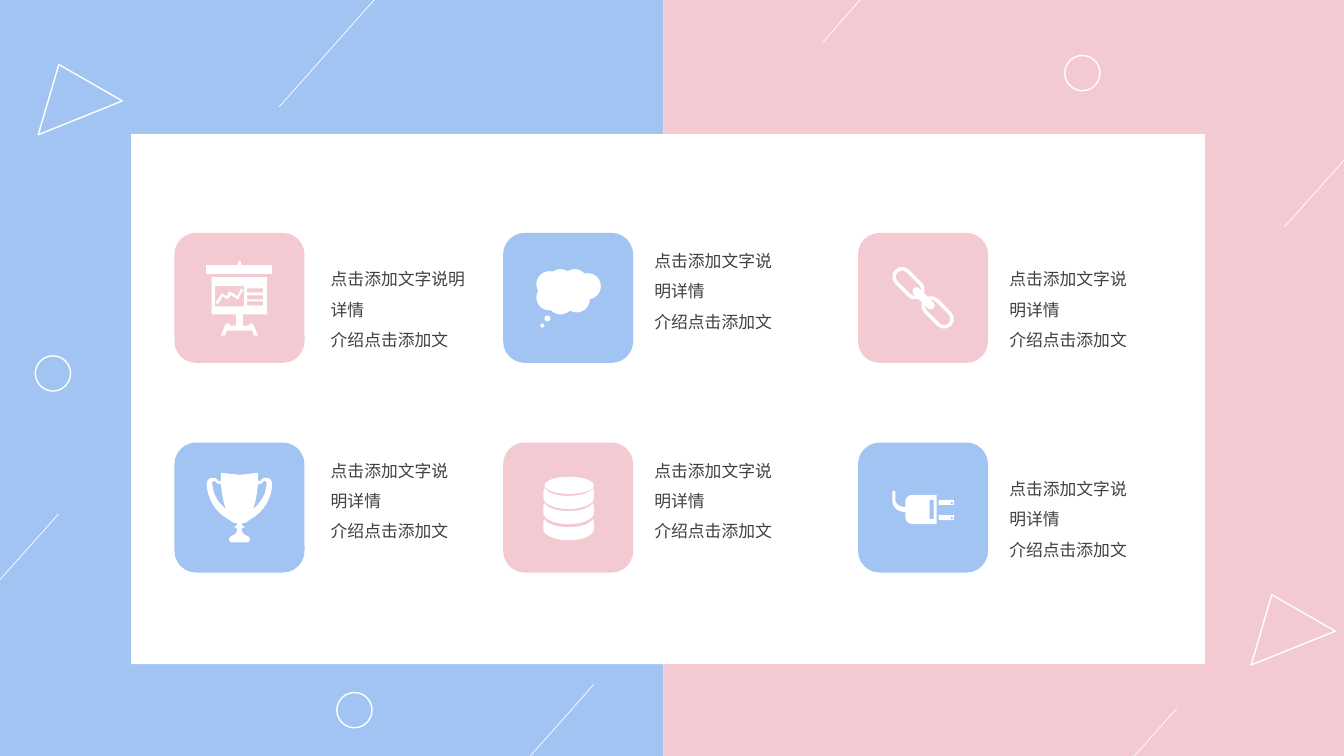
import pptx
import pptx.util
import pptx.dml.color
import pptx.enum.shapes
import pptx.enum.text
import pptx.oxml.ns
import lxml.etree
from dataclasses import dataclass
from typing import Any

Inches = pptx.util.Inches
RGB = pptx.dml.color.RGBColor
Kind = pptx.enum.shapes.MSO_SHAPE
Point = tuple[float, float]
Loop = list[Point]

BLUE = RGB(0xA1, 0xC4, 0xF2)
PINK = RGB(0xF3, 0xCA, 0xD1)
WHITE = RGB(0xFF, 0xFF, 0xFF)
GRAY = RGB(0x40, 0x40, 0x40)
FONT = "Noto Sans CJK SC"
WORDS = ("点击添加文字说明详情", "介绍点击添加文")
TILE = 1.29


@dataclass
class Piece:
    kind: Any
    left: float
    top: float
    width: float
    height: float
    fill: RGB | None = WHITE
    line: float = 0
    turn: float = 0
    round: float | None = None


@dataclass
class Outline:
    loops: list[Loop]


@dataclass
class Card:
    left: float
    top: float
    fill: RGB
    icon: list[Piece | Outline]
    text: Point
    width: float = 1.39


def paint(shape: Any, fill: RGB | None, line: float) -> None:
    shape.shadow.inherit = False
    if fill is None:
        shape.fill.background()
    else:
        shape.fill.solid()
        shape.fill.fore_color.rgb = fill
    if line:
        shape.line.color.rgb = WHITE
        shape.line.width = pptx.util.Pt(line)
    else:
        shape.line.fill.background()


def draw(shapes: Any, item: Piece | Outline) -> None:
    if isinstance(item, Piece):
        shape = shapes.add_shape(item.kind, Inches(item.left), Inches(item.top),
                                 Inches(item.width), Inches(item.height))
        shape.rotation = item.turn
        if item.round is not None:
            shape.adjustments[0] = item.round
        paint(shape, item.fill, item.line)
        return
    loops = [[(Inches(x), Inches(y)) for x, y in loop] for loop in item.loops]
    pen = shapes.build_freeform(*loops[0][0])
    for place, loop in enumerate(loops):
        if place:
            pen.move_to(*loop[0])
        pen.add_line_segments(loop[1:], close=True)
    paint(pen.convert_to_shape(), WHITE, 0)


def trace(start: Point, *parts: tuple[float, ...]) -> Loop:
    loop = [start]
    for part in parts:
        if len(part) == 2:
            loop.append((part[0], part[1]))
            continue
        x, y = loop[-1]
        a, b, c, d, e, f = part
        for step in range(1, 9):
            t = step / 8
            u = 1 - t
            loop.append((u**3 * x + 3 * u * u * t * a + 3 * u * t * t * c + t**3 * e,
                         u**3 * y + 3 * u * u * t * b + 3 * u * t * t * d + t**3 * f))
    return loop


def flip(loop: Loop, axis: float) -> Loop:
    return [(2 * axis - x, y) for x, y in reversed(loop)]


def frame(left: float, top: float, right: float, base: float) -> Loop:
    return [(left, top), (right, top), (right, base), (left, base)]


def disc(x: float, y: float, radius: float, fill: RGB = WHITE) -> Piece:
    return Piece(Kind.OVAL, x - radius, y - radius, 2 * radius, 2 * radius, fill)


def link(x: float, y: float) -> Piece:
    return Piece(Kind.ROUNDED_RECTANGLE, x - 0.17, y - 0.08, 0.34, 0.16, None, 2.5, 45, 0.5)


def band(top: float) -> Outline:
    return Outline([trace((5.4, top), (5.43, top + 0.05, 5.52, top + 0.08, 5.64, top + 0.08),
                          (5.76, top + 0.08, 5.85, top + 0.05, 5.88, top), (5.89, top + 0.03),
                          (5.89, top + 0.1),
                          (5.89, top + 0.16, 5.78, top + 0.21, 5.64, top + 0.21),
                          (5.5, top + 0.21, 5.39, top + 0.16, 5.39, top + 0.1),
                          (5.39, top + 0.03))])


def write(shapes: Any, card: Card) -> None:
    box = shapes.add_textbox(Inches(card.text[0]), Inches(card.text[1]),
                             Inches(card.width), Inches(0.98))
    frame = box.text_frame
    frame.word_wrap = True
    frame.auto_size = pptx.enum.text.MSO_AUTO_SIZE.SHAPE_TO_FIT_TEXT
    frame.margin_left = frame.margin_right = Inches(0.07)
    frame.margin_top = frame.margin_bottom = Inches(0.04)
    for place, words in enumerate(WORDS):
        para = frame.add_paragraph() if place else frame.paragraphs[0]
        para.line_spacing = 1.5
        run = para.add_run()
        run.text = words
        run.font.size = pptx.util.Pt(12)
        run.font.name = FONT
        run.font.color.rgb = GRAY
        east = lxml.etree.SubElement(run.font._element, pptx.oxml.ns.qn("a:ea"))
        east.set("typeface", FONT)


def rule(shapes: Any, start: Point, end: Point) -> None:
    line = shapes.add_connector(pptx.enum.shapes.MSO_CONNECTOR.STRAIGHT,
                                *(Inches(n) for n in start + end))
    line.line.color.rgb = WHITE
    line.line.width = pptx.util.Pt(0.5)
    lxml.etree.SubElement(line._element.spPr, pptx.oxml.ns.qn("a:effectLst"))


RINGS = [(0.35, 3.53), (3.34, 6.87), (10.56, 0.55)]
PEAKS = [(0.24, 0.62), (12.27, 5.88)]
DECOR = [
    Piece(Kind.RECTANGLE, 0, 0, 6.58, 7.5, BLUE),
    Piece(Kind.RECTANGLE, 6.58, 0, 6.75, 7.5, PINK),
    Piece(Kind.RECTANGLE, 1.3, 1.33, 10.65, 5.26),
    *(Piece(Kind.ISOSCELES_TRIANGLE, x, y, 0.9, 0.57, None, 1, 338.1) for x, y in PEAKS),
    *(Piece(Kind.OVAL, x, y, 0.35, 0.35, None, 1) for x, y in RINGS),
]
RULES = [
    ((2.77, 1.06), (3.71, 0)), ((8.16, 0.42), (8.53, 0)), ((5.26, 7.5), (5.89, 6.79)),
    ((11.25, 7.5), (11.67, 7.03)), ((12.74, 2.25), (13.33, 1.59)), ((0, 5.75), (0.58, 5.1)),
]

stand = [(2.65, 2.75), (2.65, 3.12), (2.41, 3.12), (2.41, 3.23), (2.47, 3.23), (2.47, 3.21),
         (2.51, 3.21), (2.56, 3.33), (2.52, 3.33), (2.5, 3.28)]
BOARD = [
    Outline([frame(2.04, 2.63, 2.7, 2.72)]),
    Piece(Kind.ROUNDED_RECTANGLE, 2.36, 2.59, 0.03, 0.08, round=0.5),
    Outline([stand + flip(stand, 2.375), frame(2.13, 2.84, 2.42, 3.04),
             *(frame(2.45, y, 2.61, y + 0.04) for y in (2.86, 2.93, 2.99))]),
    Outline([[(2.37, 2.91), (2.35, 2.94), (2.33, 2.92), (2.27, 2.89), (2.25, 2.94),
              (2.2, 2.91), (2.14, 3), (2.16, 3.02), (2.21, 2.94), (2.26, 2.97),
              (2.29, 2.93), (2.36, 2.97), (2.41, 2.88), (2.39, 2.86)]]),
]
PUFFS = [(5.45, 2.82), (5.45, 2.95), (5.56, 2.8), (5.7, 2.8), (5.83, 2.84),
         (5.56, 2.99), (5.72, 2.97), (5.64, 2.9)]
CLOUD = [*(disc(x, y, 0.13) for x, y in PUFFS), disc(5.43, 3.16, 0.03), disc(5.38, 3.23, 0.02)]
CHAIN = [link(9.01, 2.81), link(9.3, 3.1),
         Piece(Kind.ROUNDED_RECTANGLE, 9.02, 2.92, 0.28, 0.08, turn=45, round=0.5)]
half = trace((2.38, 4.71), (2.56, 4.69), (2.56, 4.77), (2.59, 4.77),
             (2.59, 4.75, 2.61, 4.74, 2.64, 4.74), (2.68, 4.74, 2.7, 4.77, 2.7, 4.81),
             (2.69, 4.95, 2.62, 5.08, 2.47, 5.16), (2.45, 5.18, 2.43, 5.19, 2.4, 5.19),
             (2.4, 5.21), (2.43, 5.23), (2.4, 5.24), (2.4, 5.27),
             (2.41, 5.3, 2.44, 5.31, 2.46, 5.32), (2.49, 5.34, 2.48, 5.38, 2.45, 5.38),
             (2.38, 5.38))
grip = trace((2.56, 4.8), (2.59, 4.8), (2.62, 4.77), (2.65, 4.77, 2.65, 4.8, 2.64, 4.83),
             (2.63, 4.92, 2.58, 4.99, 2.51, 5.05), (2.54, 4.97, 2.55, 4.88, 2.56, 4.8))
CUP = [Outline([half + flip(half, 2.375), grip, flip(grip, 2.375)])]
STACK = [*(band(y) for y in (4.84, 4.99, 5.15)), Piece(Kind.OVAL, 5.4, 4.73, 0.49, 0.17)]
body = trace((8.85, 4.87), (8.88, 4.87), (8.88, 4.95), (8.88, 5, 8.92, 5.03, 8.98, 5.03),
             (8.98, 4.98), (8.98, 4.94, 9.01, 4.91, 9.05, 4.91), (9.29, 4.91), (9.29, 5.2),
             (9.06, 5.2), (9.01, 5.2, 8.98, 5.17, 8.98, 5.12), (8.98, 5.08),
             (8.9, 5.08, 8.85, 5.03, 8.85, 4.95))
PLUG = [Outline([body, frame(9.22, 4.96, 9.26, 5.15)])]
for y in (4.96, 5.11):
    PLUG += [Piece(Kind.RECTANGLE, 9.31, y, 0.15, 0.05), disc(9.44, y + 0.03, 0.01, BLUE)]

CARDS = [
    Card(1.73, 2.31, PINK, BOARD, (3.21, 2.53), 1.52),
    Card(4.99, 2.31, BLUE, CLOUD, (6.42, 2.35)),
    Card(8.51, 2.31, PINK, CHAIN, (9.94, 2.53)),
    Card(1.73, 4.39, BLUE, CUP, (3.21, 4.43)),
    Card(4.99, 4.39, PINK, STACK, (6.42, 4.43)),
    Card(8.51, 4.39, BLUE, PLUG, (9.94, 4.61)),
]


def main() -> None:
    deck = pptx.Presentation()
    deck.slide_width, deck.slide_height = Inches(13.33), Inches(7.5)
    shapes = deck.slides.add_slide(deck.slide_layouts[6]).shapes
    for item in DECOR:
        draw(shapes, item)
    for start, end in RULES:
        rule(shapes, start, end)
    for card in CARDS:
        group = shapes.add_group_shape().shapes
        draw(group, Piece(Kind.ROUNDED_RECTANGLE, card.left, card.top, TILE, TILE, card.fill))
        for item in card.icon:
            draw(group, item)
        write(shapes, card)
    deck.save("out.pptx")


if __name__ == "__main__":
    main()
